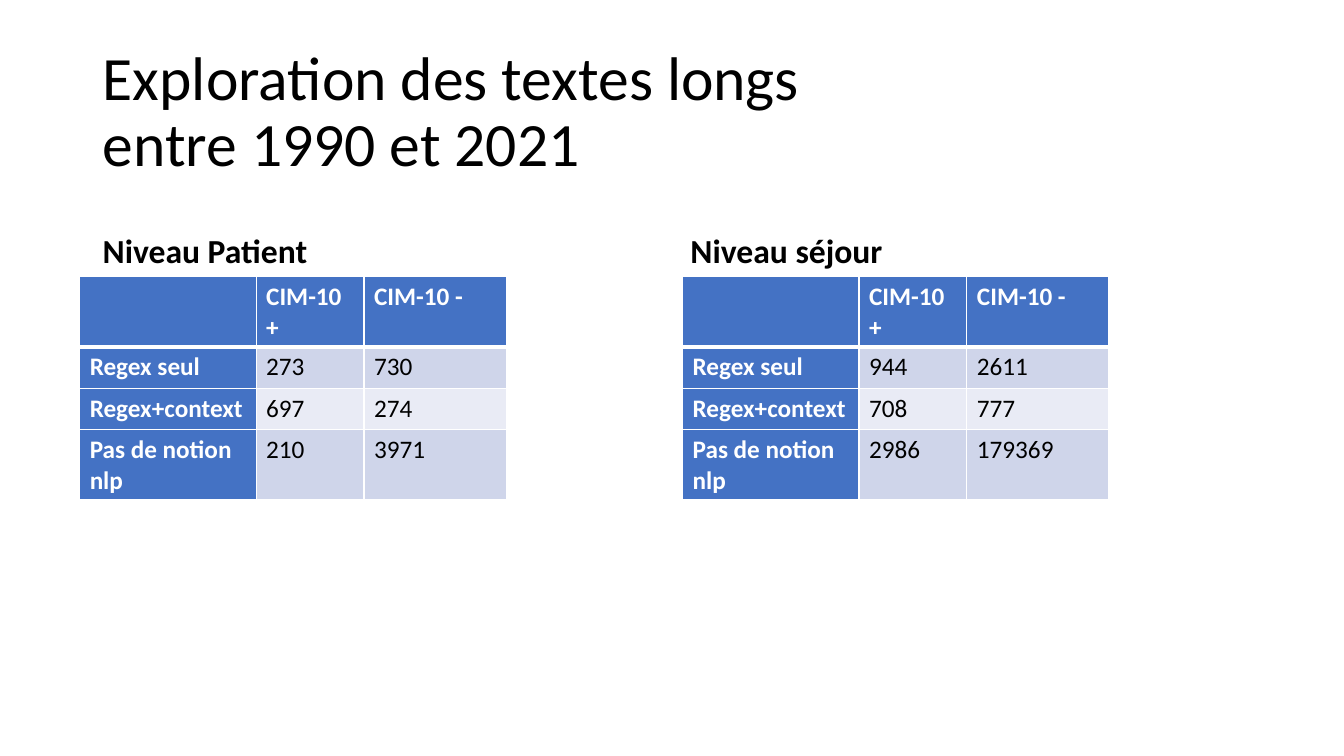
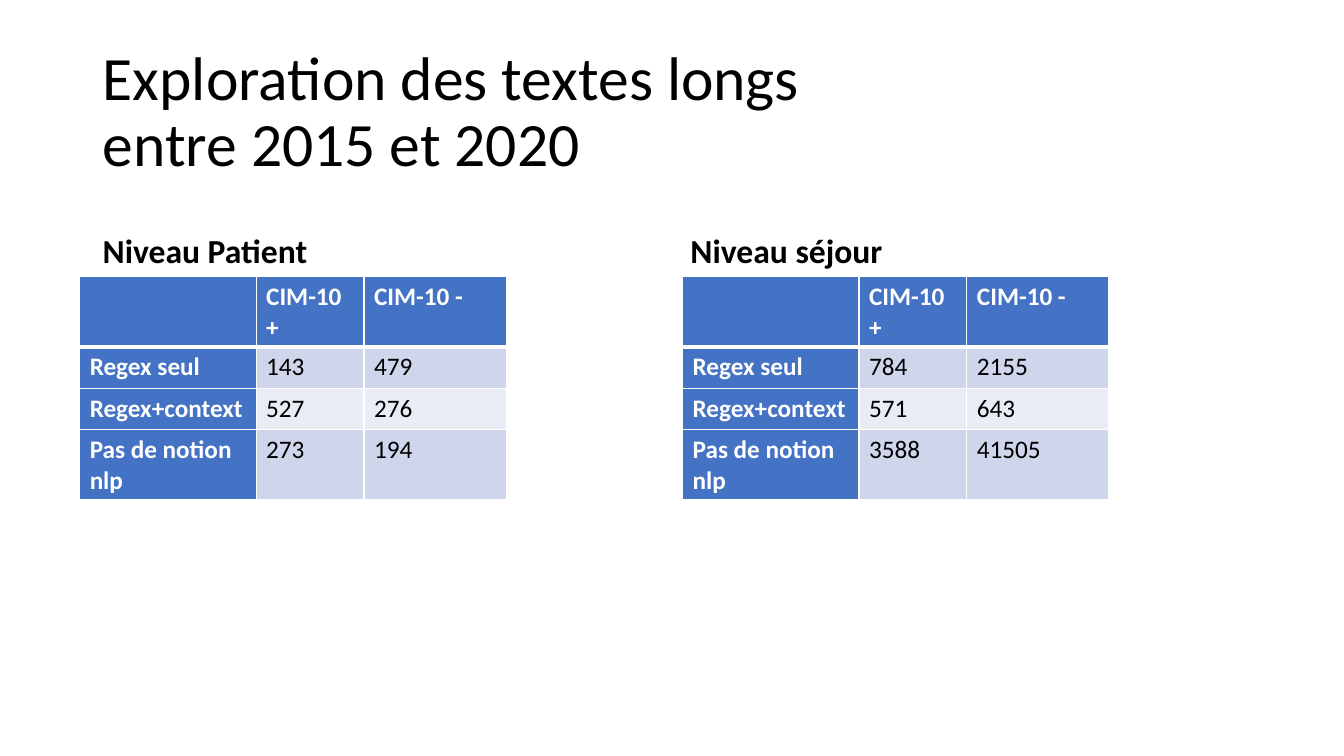
from lxml.etree import SubElement
from pptx import Presentation
from pptx.dml.color import RGBColor
from pptx.enum.text import MSO_ANCHOR, MSO_AUTO_SIZE, PP_ALIGN
from pptx.oxml.ns import qn
from pptx.util import Inches, Pt

BLACK = RGBColor(0x00, 0x00, 0x00)
WHITE = RGBColor(0xFF, 0xFF, 0xFF)
BLUE = RGBColor(0x44, 0x72, 0xC4)
BAND_DARK = RGBColor(0xCF, 0xD5, 0xEA)
BAND_LIGHT = RGBColor(0xE9, 0xEB, 0xF5)

FONT = "Calibri"
TITLE_ONLY = 5
COLUMN_WIDTHS = (1.75, 1.07, 1.41)
ROW_HEIGHTS = (0.7, 0.41, 0.41, 0.7)
HEADERS = ("", "CIM-10 +", "CIM-10 -")
ROW_LABELS = ("Regex seul", "Regex+context", "Pas de notion nlp")
LEVELS = (
    ("Niveau Patient", 0.92, 5.64, 0.79),
    ("Niveau séjour", 6.75, 5.67, 6.77),
)
PERIODS = (
    ("1990 et 2021", (
        ((273, 730), (697, 274), (210, 3971)),
        ((944, 2611), (708, 777), (2986, 179369)),
    )),
    ("2015 et 2020", (
        ((143, 479), (527, 276), (273, 194)),
        ((784, 2155), (571, 643), (3588, 41505)),
    )),
)


def write_text(frame, text, size=18, color=BLACK, bold=False,
               anchor=MSO_ANCHOR.TOP, line_spacing=1.0, space_before=0):
    frame.word_wrap = True
    frame.vertical_anchor = anchor
    paragraph = frame.paragraphs[0]
    paragraph.text = text
    paragraph.alignment = PP_ALIGN.LEFT
    paragraph.line_spacing = line_spacing
    paragraph.space_before = Pt(space_before)
    paragraph.font.size = Pt(size)
    for run in paragraph.runs:
        run.font.name = FONT
        run.font.size = Pt(size)
        run.font.bold = bold
        run.font.color.rgb = color


def set_border(cell, side, width):
    properties = cell._tc.get_or_add_tcPr()
    line = SubElement(properties, qn(f"a:ln{side}"), w=str(Pt(width)))
    fill = SubElement(line, qn("a:solidFill"))
    SubElement(fill, qn("a:srgbClr"), val=str(WHITE))


class Deck:
    def __init__(self):
        self.presentation = Presentation()
        self.presentation.slide_width = Inches(13.33)
        self.presentation.slide_height = Inches(7.5)
        self.slide = None

    def add_slide(self, title):
        layout = self.presentation.slide_layouts[TITLE_ONLY]
        self.slide = self.presentation.slides.add_slide(layout)
        shape = self.slide.shapes.title
        shape.left, shape.top = Inches(0.92), Inches(0.4)
        shape.width, shape.height = Inches(11.5), Inches(1.45)
        shape.text_frame.auto_size = MSO_AUTO_SIZE.NONE
        write_text(shape.text_frame, title, size=44,
                   anchor=MSO_ANCHOR.MIDDLE, line_spacing=0.9)

    def add_heading(self, text, left, width):
        shape = self.slide.shapes.add_textbox(
            Inches(left), Inches(1.84), Inches(width), Inches(0.9))
        write_text(shape.text_frame, text, size=24, bold=True,
                   anchor=MSO_ANCHOR.BOTTOM, line_spacing=0.9, space_before=10)

    def add_table(self, left, counts):
        rows = [HEADERS] + [(label, *values) for label, values in zip(ROW_LABELS, counts)]
        table = self.slide.shapes.add_table(
            len(rows), len(HEADERS), Inches(left), Inches(2.74),
            Inches(sum(COLUMN_WIDTHS)), Inches(sum(ROW_HEIGHTS))).table
        table.first_col = True
        for column, width in zip(table.columns, COLUMN_WIDTHS):
            column.width = Inches(width)
        for row, height in zip(table.rows, ROW_HEIGHTS):
            row.height = Inches(height)
        for row_index, values in enumerate(rows):
            for column_index, value in enumerate(values):
                self.fill_cell(table.cell(row_index, column_index), value,
                               row_index, column_index)

    def fill_cell(self, cell, value, row_index, column_index):
        is_header = row_index == 0 or column_index == 0
        band = BAND_DARK if row_index % 2 else BAND_LIGHT
        for side in "LRTB":
            under_header = (row_index, side) in ((0, "B"), (1, "T"))
            set_border(cell, side, 3 if under_header else 1)
        cell.fill.solid()
        cell.fill.fore_color.rgb = BLUE if is_header else band
        write_text(cell.text_frame, str(value),
                   color=WHITE if is_header else BLACK, bold=is_header)


def main():
    deck = Deck()
    for period, level_counts in PERIODS:
        deck.add_slide(f"Exploration des textes longs\nentre {period}")
        for (heading, left, width, table_left), counts in zip(LEVELS, level_counts):
            deck.add_heading(heading, left, width)
            deck.add_table(table_left, counts)
    deck.presentation.save("out.pptx")


if __name__ == "__main__":
    main()
